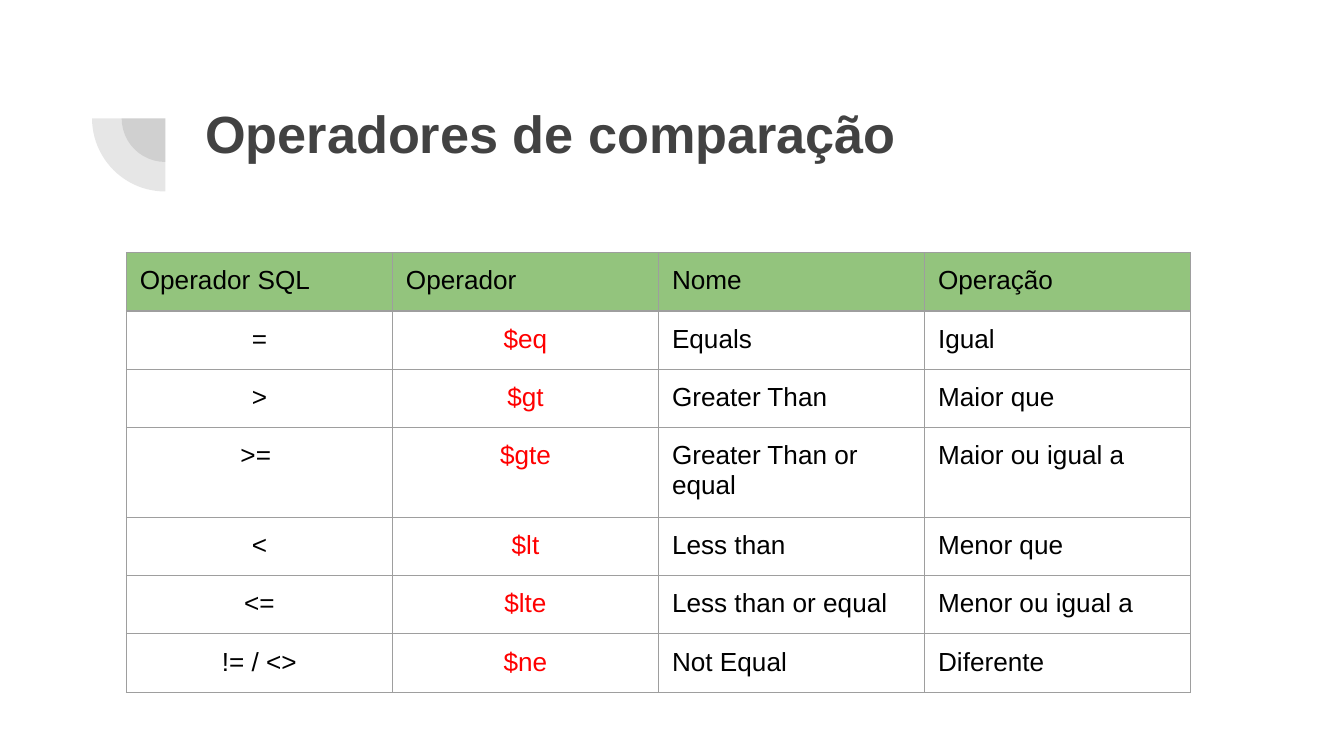
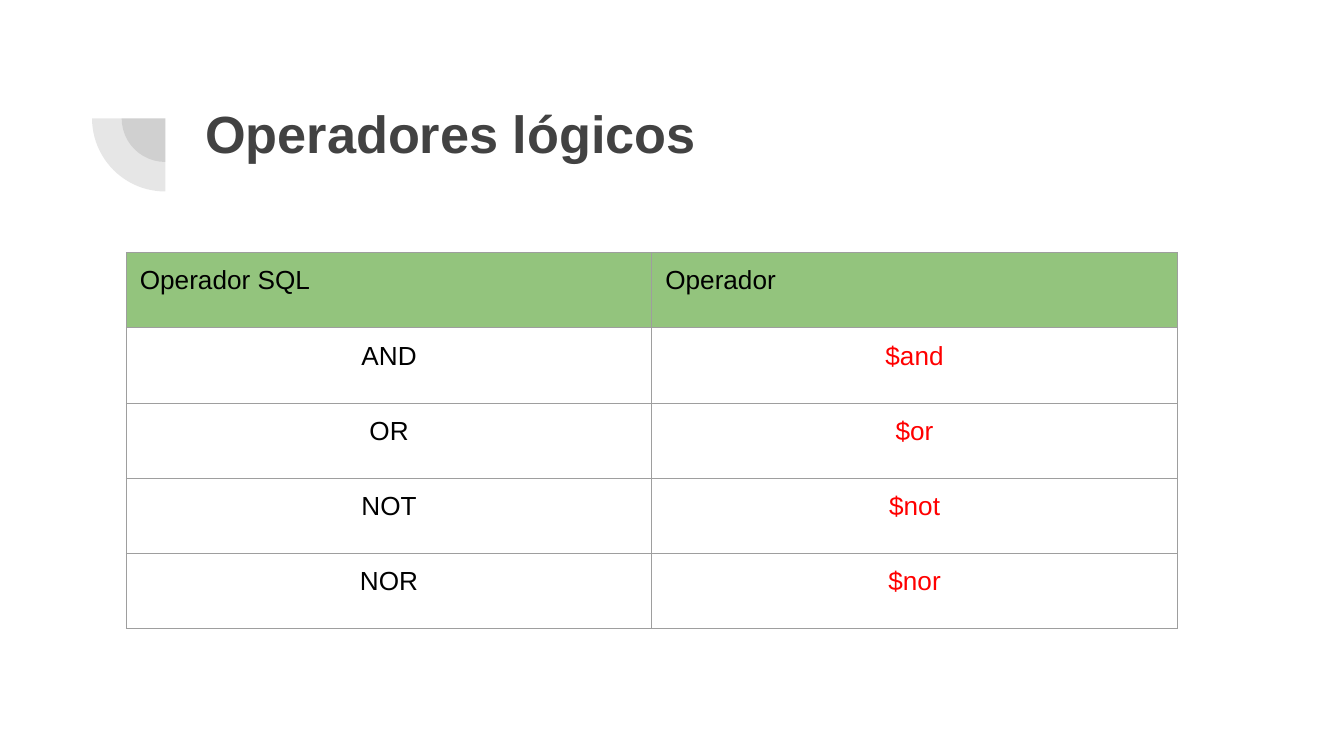
from lxml.etree import SubElement
from pptx import Presentation
from pptx.dml.color import RGBColor
from pptx.enum.shapes import MSO_SHAPE as Shape
from pptx.enum.text import MSO_ANCHOR as Anchor, PP_ALIGN as Align
from pptx.oxml.ns import qn
from pptx.util import Inches, Pt

COLORS = {
    "gray": "424242",
    "header": "93C47D",
    "border": "9E9E9E",
    "text": "000000",
    "operator": "FF0000",
}
FONT = "Arial"
BORDER_WIDTH = 0.75
TABLE_LEFT, TABLE_TOP, TABLE_FRAME = 0.94, 1.88, 3.28
PIE_CENTER_X, PIE_CENTER_Y = 1.23, 0.88
PIE_SIZES = (0.65, 1.09)
PIE_ALPHA = 13

COMPARISON = [
    ("Operador SQL", "Operador", "Nome", "Operação"),
    ("=", "$eq", "Equals", "Igual"),
    (">", "$gt", "Greater Than", "Maior que"),
    (">= ", "$gte", "Greater Than or equal", "Maior ou igual a"),
    ("<", "$lt", "Less than", "Menor que"),
    ("<=", "$lte", "Less than or equal", "Menor ou igual a"),
    ("!= / <>", "$ne", "Not Equal", "Diferente"),
]
LOGICAL = [
    ("Operador SQL", "Operador"),
    ("AND", "$and"),
    ("OR", "$or"),
    ("NOT", "$not"),
    ("NOR", "$nor"),
]


def rgb(name):
    return RGBColor.from_string(COLORS[name])


def add_text(para, text, size, color, bold=False):
    span = para.add_run()
    span.text = text
    span.font.name = FONT
    span.font.size = Pt(size)
    span.font.bold = bold
    span.font.color.rgb = rgb(color)


def add_quarter_circles(page):
    for size in PIE_SIZES:
        pie = page.shapes.add_shape(
            Shape.PIE, Inches(PIE_CENTER_X - size / 2),
            Inches(PIE_CENTER_Y - size / 2), Inches(size), Inches(size))
        pie.adjustments[0] = 108
        pie.adjustments[1] = 162
        pie.rotation = 270
        pie.shadow.inherit = False
        pie.line.fill.background()
        pie.fill.solid()
        pie.fill.fore_color.rgb = rgb("gray")
        color = pie.fill._xPr.find(qn("a:solidFill")).find(qn("a:srgbClr"))
        SubElement(color, qn("a:alpha"), val=str(PIE_ALPHA * 1000))


def add_title(page, text):
    box = page.shapes.add_textbox(
        Inches(1.43), Inches(0.65), Inches(7.69), Inches(1.09))
    frame = box.text_frame
    frame.word_wrap = True
    frame.vertical_anchor = Anchor.TOP
    frame.margin_left = frame.margin_right = Inches(0.1)
    frame.margin_top = frame.margin_bottom = Inches(0.1)
    add_text(frame.paragraphs[0], text, 28, "gray", bold=True)


def set_borders(cell):
    properties = cell._tc.get_or_add_tcPr()
    for position, side in enumerate(("lnL", "lnR", "lnT", "lnB")):
        line = SubElement(properties, qn(f"a:{side}"),
                          w=str(Pt(BORDER_WIDTH)))
        fill = SubElement(line, qn("a:solidFill"))
        SubElement(fill, qn("a:srgbClr"), val=COLORS["border"])
        properties.insert(position, line)


def fill_cell(cell, text, is_header, column):
    cell.margin_left = cell.margin_right = Inches(0.1)
    cell.margin_top = cell.margin_bottom = Inches(0.1)
    cell.vertical_anchor = Anchor.TOP
    if is_header:
        cell.fill.solid()
        cell.fill.fore_color.rgb = rgb("header")
    else:
        cell.fill.background()
    set_borders(cell)
    para = cell.text_frame.paragraphs[0]
    centered = not is_header and column < 2
    para.alignment = Align.CENTER if centered else Align.LEFT
    is_operator = not is_header and column == 1
    add_text(para, text, 14, "operator" if is_operator else "text")


def add_operator_table(page, rows, column_width, row_height):
    holder = page.shapes.add_table(
        len(rows), len(rows[0]), Inches(TABLE_LEFT), Inches(TABLE_TOP),
        Inches(TABLE_FRAME), Inches(TABLE_FRAME))
    table = holder.table
    table.first_row = False
    table.horz_banding = False
    for column in table.columns:
        column.width = Inches(column_width)
    for row_index, row in enumerate(rows):
        table.rows[row_index].height = Inches(row_height)
        for column_index, text in enumerate(row):
            fill_cell(table.cell(row_index, column_index), text,
                      row_index == 0, column_index)
    holder.width = holder.height = Inches(TABLE_FRAME)


def add_operator_page(deck, title, rows, column_width, row_height):
    page = deck.slides.add_slide(deck.slide_layouts[6])
    add_quarter_circles(page)
    add_title(page, title)
    add_operator_table(page, rows, column_width, row_height)


def main():
    deck = Presentation()
    deck.slide_width = Inches(10)
    deck.slide_height = deck.slide_width * 9 // 16
    add_operator_page(deck, "Operadores de comparação", COMPARISON, 1.98, 0.42)
    add_operator_page(deck, "Operadores lógicos", LOGICAL, 3.91, 0.56)
    deck.save("out.pptx")


if __name__ == "__main__":
    main()
